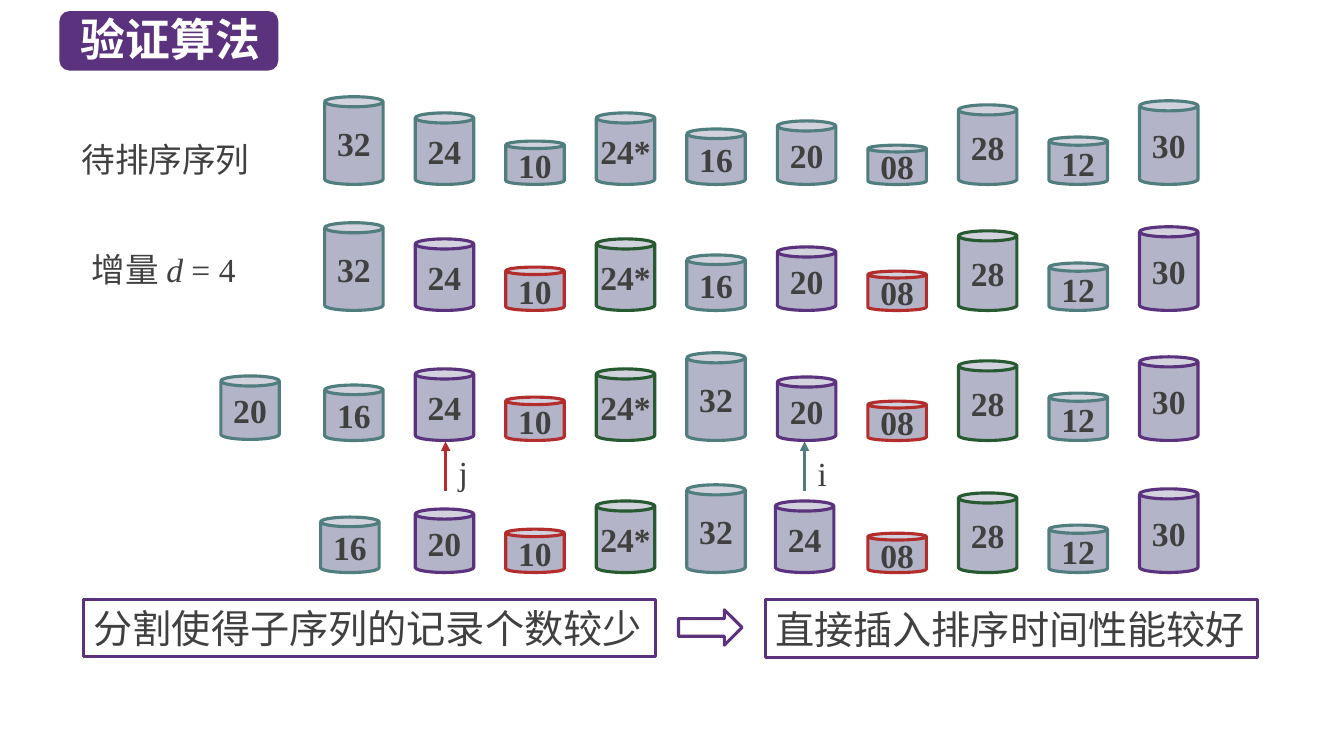
from dataclasses import dataclass

from lxml import etree
from pptx import Presentation
from pptx.dml.color import RGBColor
from pptx.enum import shapes, text
from pptx.oxml import ns
from pptx.util import Inches, Pt


@dataclass(frozen=True)
class Theme:
    purple: str = "5A327D"
    teal: str = "507D7D"
    red: str = "B42D2D"
    green: str = "285A32"
    can: str = "B4B4C8"
    ink: str = "404040"
    white: str = "FFFFFF"
    latin: str = "Times New Roman"
    chinese: str = "Noto Sans CJK SC"
    title_size: float = 32
    label_size: float = 24
    note_size: float = 28
    line_width: float = 2.25


@dataclass(frozen=True)
class Box:
    left: float
    top: float
    width: float
    height: float

    def lengths(self):
        return [Inches(v) for v in (self.left, self.top, self.width, self.height)]


@dataclass(frozen=True)
class SortRow:
    bottom: float
    records: str
    grouped: bool = True


@dataclass(frozen=True)
class Pointer:
    name: str
    x: float
    label_top: float
    color: str


@dataclass(frozen=True)
class Note:
    words: str
    box: Box
    spacing: float | None = None


THEME = Theme()
GROUP_COLORS = (THEME.teal, THEME.purple, THEME.red, THEME.green)
CAN_WIDTH = 0.58
FIRST_COLUMN, COLUMN_STEP = 3.22, 0.898
ROWS = (
    SortRow(1.83, "32 24 10 24* 16 20 08 28 12 30", grouped=False),
    SortRow(3.08, "32 24 10 24* 16 20 08 28 12 30"),
    SortRow(4.37, "16 24 10 24* 32 20 08 28 12 30"),
    SortRow(5.68, "16 20 10 24* 32 24 08 28 12 30"),
)
NUDGES = {(3, 0): -0.04, (3, 5): -0.02}  # (row, column): sideways shift
POINTERS = (
    Pointer("i", 7.98, 4.44, THEME.teal),
    Pointer("j", 4.42, 4.43, THEME.red),
)
NOTES = (
    Note("分割使得子序列的记录个数较少", Box(0.83, 5.95, 5.67, 0.56), spacing=33),
    Note("直接插入排序时间性能较好", Box(7.59, 5.95, 4.88, 0.57)),
)


def rgb(color: str) -> RGBColor:
    return RGBColor.from_string(color)


def write(shape, *spans: str, size: float = THEME.label_size, color: str = THEME.ink,
          latin: str = THEME.latin, bold: bool = False, italic: str = "",
          align=text.PP_ALIGN.LEFT, anchor=text.MSO_ANCHOR.MIDDLE,
          wrap: bool = True, spacing: float | None = None) -> None:
    """Fill a shape with one paragraph; the span equal to `italic` is slanted."""
    frame = shape.text_frame
    frame.word_wrap = wrap
    frame.vertical_anchor = anchor
    frame.auto_size = text.MSO_AUTO_SIZE.NONE
    para = frame.paragraphs[0]
    para.alignment = align
    if spacing:
        para.line_spacing = Pt(spacing)
    for words in spans:
        span = para.add_run()
        span.text = words
        font = span.font
        font.name, font.size, font.bold = latin, Pt(size), bold
        font.italic = words == italic
        font.color.rgb = rgb(color)
        east_asian = etree.SubElement(font._element, ns.qn("a:ea"))
        east_asian.set("typeface", THEME.chinese)


def add_shape(page, kind, box: Box, fill: str | None = None, line: str | None = None):
    shape = page.shapes.add_shape(kind, *box.lengths())
    shape.shadow.inherit = False
    if fill:
        shape.fill.solid()
        shape.fill.fore_color.rgb = rgb(fill)
    else:
        shape.fill.background()
    if line:
        shape.line.color.rgb = rgb(line)
        shape.line.width = Pt(THEME.line_width)
    else:
        shape.line.fill.background()
    return shape


def add_label(page, box: Box, *spans: str, **formats) -> None:
    write(page.shapes.add_textbox(*box.lengths()), *spans, **formats)


def add_can(page, record: str, left: float, bottom: float, color: str) -> None:
    """Draw a record as a can whose height grows with its value."""
    height = 0.23 + 0.02 * int(record.rstrip("*"))
    box = Box(left, bottom - height, CAN_WIDTH, height)
    can = add_shape(page, shapes.MSO_SHAPE.CAN, box, THEME.can, color)
    can.adjustments[0] = 0.173
    write(can, record, bold=True, align=text.PP_ALIGN.CENTER, wrap=False)


def add_row(page, number: int, row: SortRow) -> None:
    for column, record in enumerate(row.records.split()):
        left = FIRST_COLUMN + column * COLUMN_STEP + NUDGES.get((number, column), 0)
        color = GROUP_COLORS[column % 4] if row.grouped else THEME.teal
        add_can(page, record, left, row.bottom, color)


def add_pointer(page, pointer: Pointer) -> None:
    x = Inches(pointer.x)
    arrow = page.shapes.add_connector(
        shapes.MSO_CONNECTOR.STRAIGHT, x, Inches(4.87), x, Inches(4.38))
    arrow.line.color.rgb = rgb(pointer.color)
    arrow.line.width = Pt(THEME.line_width)
    head = etree.SubElement(arrow.line._get_or_add_ln(), ns.qn("a:tailEnd"))
    head.set("type", "triangle")
    etree.SubElement(arrow._element.spPr, ns.qn("a:effectLst"))
    add_label(page, Box(pointer.x + 0.03, pointer.label_top, 0.31, 0.5),
              pointer.name, anchor=text.MSO_ANCHOR.TOP)


def add_title(page) -> None:
    title = page.shapes.title
    title.left, title.top, title.width, title.height = Box(0.7, 0.07, 2.04, 0.64).lengths()
    write(title, "验证算法", size=THEME.title_size, color=THEME.white,
          latin=THEME.chinese, bold=True, anchor=text.MSO_ANCHOR.TOP)
    banner = add_shape(page, shapes.MSO_SHAPE.ROUNDED_RECTANGLE,
                       Box(0.59, 0.11, 2.17, 0.59), THEME.purple)
    title._element.addprevious(banner._element)


def main() -> None:
    deck = Presentation()
    deck.slide_width, deck.slide_height = Inches(13.33), Inches(7.5)
    page = deck.slides.add_slide(deck.slide_layouts[5])
    add_title(page)

    # Row labels
    add_label(page, Box(0.71, 1.33, 2.06, 0.5), "待排序序列")
    add_label(page, Box(0.81, 2.42, 1.82, 0.5), "增量 ", "d", " = 4", italic="d")

    # Sorting steps, with the record set aside in the third one
    for number, row in enumerate(ROWS):
        add_row(page, number, row)
    add_can(page, "20", 2.19, 4.36, THEME.teal)
    for pointer in POINTERS:
        add_pointer(page, pointer)

    # Conclusion
    for note in NOTES:
        frame = add_shape(page, shapes.MSO_SHAPE.RECTANGLE, note.box, line=THEME.purple)
        write(frame, note.words, size=THEME.note_size, spacing=note.spacing)
    add_shape(page, shapes.MSO_SHAPE.RIGHT_ARROW, Box(6.73, 6.05, 0.63, 0.35),
              line=THEME.purple)

    deck.save("out.pptx")


if __name__ == "__main__":
    main()
